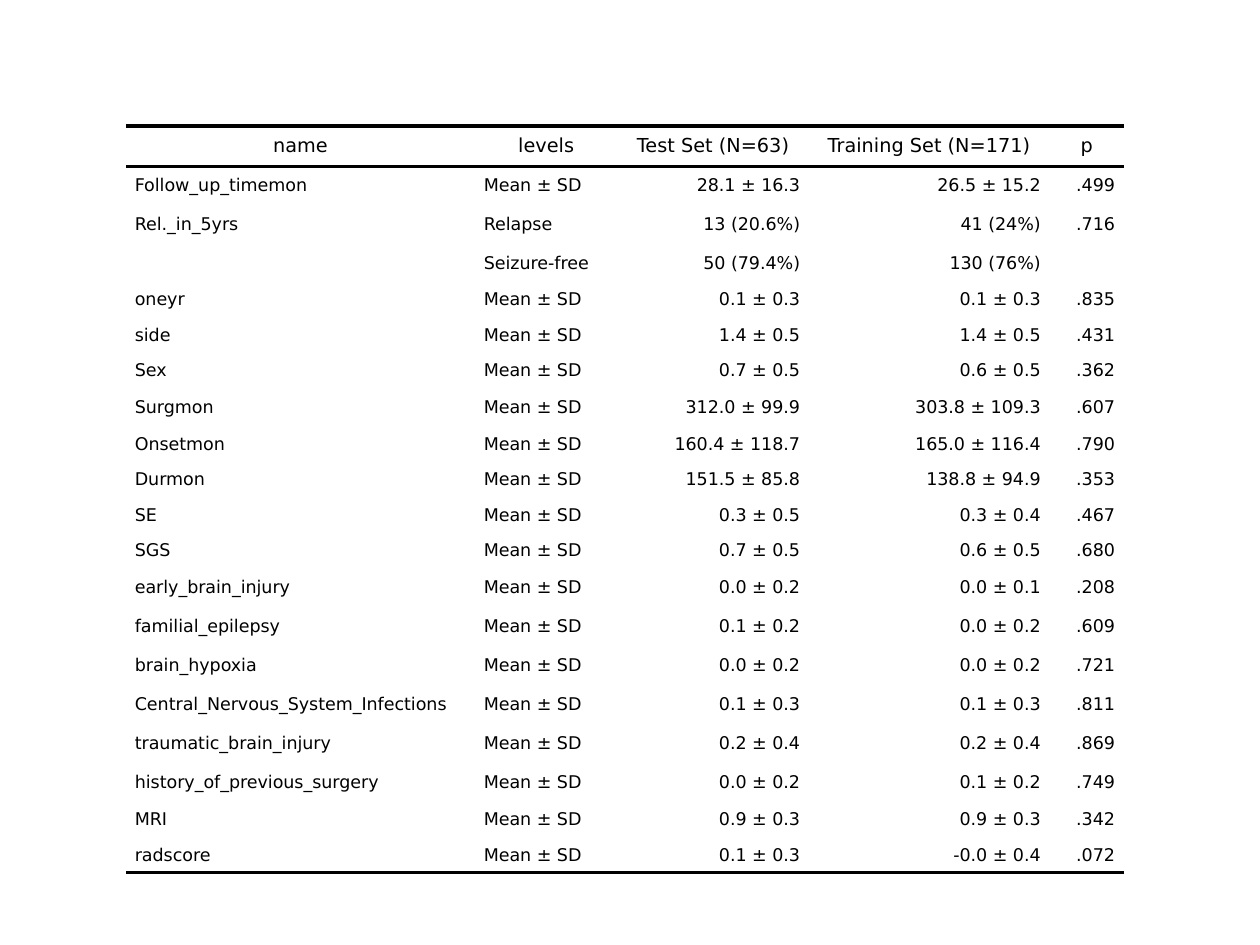
from typing import Any, NamedTuple

from lxml.etree import SubElement
from pptx import Presentation
from pptx.dml.color import RGBColor
from pptx.enum.text import MSO_VERTICAL_ANCHOR as Anchor, PP_PARAGRAPH_ALIGNMENT as Align
from pptx.oxml import parse_xml
from pptx.oxml.ns import nsdecls, qn
from pptx.util import Inches, Pt

BLACK = RGBColor(0x00, 0x00, 0x00)
FONT = "DejaVu Sans"
HEADER_SIZE, BODY_SIZE = Pt(11), Pt(10)
RULE_WIDTH = Pt(2)
SIDE_MARGIN = Inches(0.07)
NO_STYLE = "{2D5ABB26-0587-4C30-8999-92F81FD0307C}"
MEAN = "Mean ± SD"

CELL_FORMAT = {
    "margin_left": 0,
    "margin_right": 0,
    "margin_top": Inches(0.03),
    "margin_bottom": Inches(0.03),
    "vertical_anchor": Anchor.MIDDLE,
}
PARAGRAPH_FORMAT = {"space_before": Pt(2), "space_after": Pt(2)}


class Column(NamedTuple):
    title: str
    width: float
    align: Align


class Row(NamedTuple):
    name: str
    level: str
    test: str
    training: str
    p_value: str
    height: float = 0.28


COLUMNS = [
    Column("name", 2.77, Align.LEFT),
    Column("levels", 1.13, Align.LEFT),
    Column("Test Set (N=63)", 1.52, Align.RIGHT),
    Column("Training Set (N=171)", 1.91, Align.RIGHT),
    Column("p", 0.59, Align.RIGHT),
]
HEADER = Row(*(column.title for column in COLUMNS), height=0.32)
ROWS = [
    Row("Follow_up_timemon", MEAN, "28.1 ± 16.3", "26.5 ± 15.2", ".499", 0.31),
    Row("Rel._in_5yrs", "Relapse", "13 (20.6%)", "41 (24%)", ".716", 0.31),
    Row("", "Seizure-free", "50 (79.4%)", "130 (76%)", "", 0.3),
    Row("oneyr", MEAN, "0.1 ± 0.3", "0.1 ± 0.3", ".835"),
    Row("side", MEAN, "1.4 ± 0.5", "1.4 ± 0.5", ".431"),
    Row("Sex", MEAN, "0.7 ± 0.5", "0.6 ± 0.5", ".362"),
    Row("Surgmon", MEAN, "312.0 ± 99.9", "303.8 ± 109.3", ".607", 0.31),
    Row("Onsetmon", MEAN, "160.4 ± 118.7", "165.0 ± 116.4", ".790"),
    Row("Durmon", MEAN, "151.5 ± 85.8", "138.8 ± 94.9", ".353"),
    Row("SE", MEAN, "0.3 ± 0.5", "0.3 ± 0.4", ".467"),
    Row("SGS", MEAN, "0.7 ± 0.5", "0.6 ± 0.5", ".680"),
    Row("early_brain_injury", MEAN, "0.0 ± 0.2", "0.0 ± 0.1", ".208", 0.31),
    Row("familial_epilepsy", MEAN, "0.1 ± 0.2", "0.0 ± 0.2", ".609", 0.31),
    Row("brain_hypoxia", MEAN, "0.0 ± 0.2", "0.0 ± 0.2", ".721", 0.31),
    Row("Central_Nervous_System_Infections", MEAN, "0.1 ± 0.3", "0.1 ± 0.3", ".811", 0.31),
    Row("traumatic_brain_injury", MEAN, "0.2 ± 0.4", "0.2 ± 0.4", ".869", 0.31),
    Row("history_of_previous_surgery", MEAN, "0.0 ± 0.2", "0.1 ± 0.2", ".749", 0.31),
    Row("MRI", MEAN, "0.9 ± 0.3", "0.9 ± 0.3", ".342"),
    Row("radscore", MEAN, "0.1 ± 0.3", "-0.0 ± 0.4", ".072"),
]


def apply_format(target: Any, values: dict[str, Any]) -> None:
    for name, value in values.items():
        setattr(target, name, value)


def add_rules(cell: Any, sides: str) -> None:
    """Draw a rule on each listed side: T for top, B for bottom."""
    properties = cell._tc.get_or_add_tcPr()
    for index, side in enumerate(sides):
        properties.insert(index, parse_xml(
            f'<a:ln{side} {nsdecls("a")} w="{RULE_WIDTH}"><a:solidFill>'
            f'<a:srgbClr val="{BLACK}"/></a:solidFill></a:ln{side}>'))


def fill_cell(cell: Any, text: str, align: Align, size: Pt, sides: str) -> None:
    apply_format(cell, CELL_FORMAT)
    cell.fill.background()
    add_rules(cell, sides)
    paragraph = cell.text_frame.paragraphs[0]
    apply_format(paragraph, {**PARAGRAPH_FORMAT, "alignment": align})
    properties = paragraph._p.get_or_add_pPr()
    for margin in ("marL", "marR"):
        properties.set(margin, str(SIDE_MARGIN))
    if text:
        run = paragraph.add_run()
        run.text = text
        apply_format(run.font, {"name": FONT, "size": size})
        run.font.color.rgb = BLACK
    else:
        # Keep blank cells from stretching their row
        SubElement(paragraph._p, qn("a:endParaRPr"), sz=str(int(size.pt * 100)))


# Slide
presentation = Presentation()
presentation.slide_width, presentation.slide_height = Inches(10), Inches(7.5)
slide = presentation.slides.add_slide(presentation.slide_layouts[6])

# Table frame
all_rows = [HEADER, *ROWS]
table_width = sum(column.width for column in COLUMNS)
table_height = sum(row.height for row in all_rows)
table = slide.shapes.add_table(
    len(all_rows), len(COLUMNS), Inches(1), Inches(1),
    Inches(table_width), Inches(table_height)).table
apply_format(table, {"first_row": False, "horz_banding": False})
table._tbl.tblPr.find(qn("a:tableStyleId")).text = NO_STYLE
for table_column, column in zip(table.columns, COLUMNS):
    table_column.width = Inches(column.width)

# Table contents
for row_index, row in enumerate(all_rows):
    table.rows[row_index].height = Inches(row.height)
    is_header = row is HEADER
    sides = "TB" if is_header else "B" if row is ROWS[-1] else ""
    size = HEADER_SIZE if is_header else BODY_SIZE
    for column_index, column in enumerate(COLUMNS):
        align = Align.CENTER if is_header else column.align
        fill_cell(table.cell(row_index, column_index), row[column_index], align, size, sides)

presentation.save("out.pptx")
